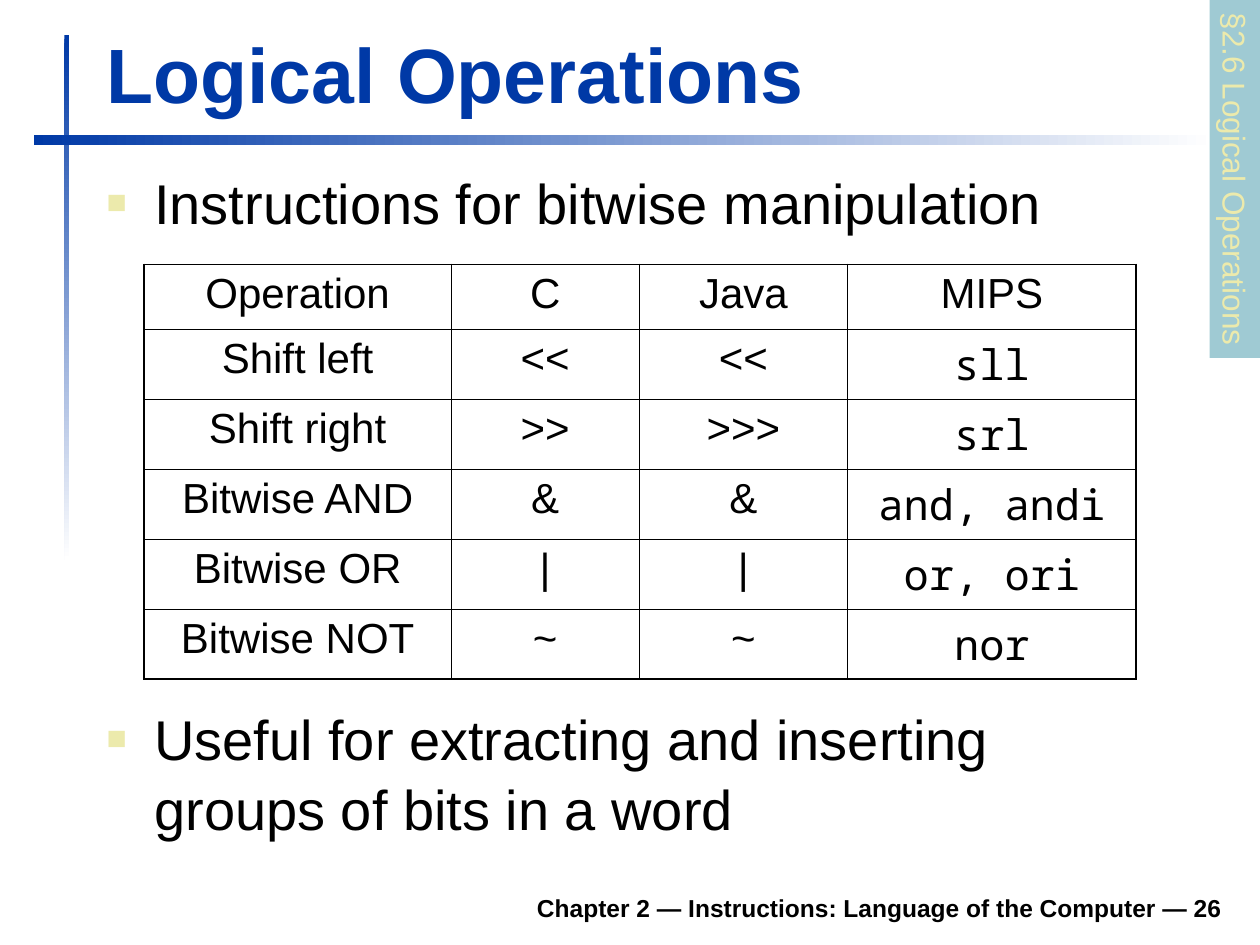
from dataclasses import dataclass

from lxml.etree import SubElement
from pptx import Presentation
from pptx.dml.color import RGBColor
from pptx.enum.shapes import MSO_SHAPE as Shape
from pptx.enum.text import MSO_ANCHOR as Anchor, PP_ALIGN as Align
from pptx.oxml.ns import qn
from pptx.util import Cm, Pt


@dataclass(frozen=True)
class Theme:
    blue: str = "0039A6"
    white: str = "FFFFFF"
    black: str = "000000"
    sand: str = "ECEAAC"
    teal: str = "9FCAD3"
    sans: str = "Arial"
    mono: str = "Noto Sans Mono"
    title: int = 44
    body: int = 32
    cell: int = 24
    tab: int = 18
    footer: int = 14
    outer_line: float = 1.08
    header_line: float = 0.75
    inner_line: float = 0.45


@dataclass(frozen=True)
class Box:
    """Left, top, width and height in centimetres."""
    left: float
    top: float
    width: float
    height: float

    def lengths(self) -> tuple:
        return Cm(self.left), Cm(self.top), Cm(self.width), Cm(self.height)


@dataclass(frozen=True)
class Rule:
    box: Box
    angle: int


@dataclass(frozen=True)
class Bullet:
    box: Box
    text: str


T = Theme()
RULES = [Rule(Box(1.3, 0.71, 0.1, 10.59), 270), Rule(Box(0.69, 2.72, 23.8, 0.2), 0)]
BULLETS = [
    Bullet(Box(1.9, 3.22, 22.96, 1.93), "Instructions for bitwise manipulation"),
    Bullet(Box(1.9, 14.02, 21.59, 3),
           "Useful for extracting and inserting groups of bits in a word"),
]
OPERATIONS = [
    ("Operation", "C", "Java", "MIPS"),
    ("Shift left", "<<", "<<", "sll"),
    ("Shift right", ">>", ">>>", "srl"),
    ("Bitwise AND", "&", "&", "and, andi"),
    ("Bitwise OR", "|", "|", "or, ori"),
    ("Bitwise NOT", "~", "~", "nor"),
]
COLUMNS = (6.2, 3.78, 4.21, 5.81)
HEADER_HEIGHT, ROW_HEIGHT = 1.31, 1.41


def write(tf, text: str, *, size: int, color: str = T.black, font: str = T.sans,
          bold: bool = False, align=Align.LEFT, anchor=Anchor.TOP,
          wrap: bool = True, bullet: bool = False) -> None:
    tf.word_wrap = wrap
    tf.vertical_anchor = anchor
    p = tf.paragraphs[0]
    p.alignment = align
    if bullet:
        add_bullet(p)
    r = p.add_run()
    r.text = text
    r.font.name, r.font.size, r.font.bold = font, Pt(size), bold
    r.font.color.rgb = RGBColor.from_string(color)


def add_bullet(p) -> None:
    """Give the paragraph a small square and a hanging indent."""
    pPr = p._p.get_or_add_pPr()
    pPr.set("marL", str(Cm(0.96)))
    pPr.set("indent", str(-Cm(0.96)))
    SubElement(SubElement(pPr, qn("a:buClr")), qn("a:srgbClr"), val=T.sand)
    SubElement(pPr, qn("a:buSzPct"), val="60000")
    SubElement(pPr, qn("a:buFont"), typeface=T.sans)
    SubElement(pPr, qn("a:buChar"), char="■")
    p.line_spacing = 1.04


def add_text(s, box: Box, text: str, **fmt) -> None:
    write(s.shapes.add_textbox(*box.lengths()).text_frame, text, **fmt)


def add_rectangle(s, box: Box):
    sp = s.shapes.add_shape(Shape.RECTANGLE, *box.lengths())
    sp.shadow.inherit = False
    sp.line.fill.background()
    return sp


def add_rule(s, rule: Rule) -> None:
    """Draw a bar that fades from blue to white."""
    fill = add_rectangle(s, rule.box).fill
    fill.gradient()
    fill.gradient_angle = rule.angle
    for stop, color in zip(fill.gradient_stops, (T.blue, T.white)):
        stop.color.rgb = RGBColor.from_string(color)


def add_section_tab(s, box: Box, text: str) -> None:
    sp = add_rectangle(s, box)
    sp.rotation = 90
    sp.fill.solid()
    sp.fill.fore_color.rgb = RGBColor.from_string(T.teal)
    write(sp.text_frame, text, size=T.tab, color=T.sand, wrap=False)


def set_borders(cell, **widths: float) -> None:
    """Set border widths in points, keyed L, R, T, B in that order."""
    tcPr = cell._tc.get_or_add_tcPr()
    for side, width in widths.items():
        ln = SubElement(tcPr, qn(f"a:ln{side}"), w=str(Pt(width)))
        SubElement(SubElement(ln, qn("a:solidFill")), qn("a:srgbClr"), val=T.black)


def row_line(i: int, count: int) -> float:
    """Width of the horizontal line above row i."""
    if i in (0, count):
        return T.outer_line
    return T.header_line if i == 1 else T.inner_line


def column_line(j: int, count: int) -> float:
    """Width of the vertical line left of column j."""
    return T.outer_line if j in (0, count) else T.inner_line


def add_operations_table(s, left: float, top: float) -> None:
    n_rows, n_cols = len(OPERATIONS), len(COLUMNS)
    heights = [HEADER_HEIGHT] + [ROW_HEIGHT] * (n_rows - 1)
    box = Box(left, top, sum(COLUMNS), sum(heights))
    table = s.shapes.add_table(n_rows, n_cols, *box.lengths()).table
    table.horz_banding = False
    for column, width in zip(table.columns, COLUMNS):
        column.width = Cm(width)
    for i, (row, height, texts) in enumerate(zip(table.rows, heights, OPERATIONS)):
        row.height = Cm(height)
        for j, (cell, text) in enumerate(zip(row.cells, texts)):
            is_code = i > 0 and j == n_cols - 1
            write(cell.text_frame, text, size=T.cell, align=Align.CENTER,
                  font=T.mono if is_code else T.sans)
            set_borders(cell, L=column_line(j, n_cols), R=column_line(j + 1, n_cols),
                        T=row_line(i, n_rows), B=row_line(i + 1, n_rows))
            cell.fill.background()


def main() -> None:
    prs = Presentation()
    prs.slide_width, prs.slide_height = Cm(25.4), Cm(19.05)
    s = prs.slides.add_slide(prs.slide_layouts[6])
    for rule in RULES:
        add_rule(s, rule)
    add_text(s, Box(4.7, 17.73, 20.19, 0.99),
             "Chapter 2 — Instructions: Language of the Computer — 26",
             size=T.footer, bold=True, align=Align.RIGHT, anchor=Anchor.BOTTOM)
    add_text(s, Box(1.9, 0.41, 22.94, 2.11), "Logical Operations",
             size=T.title, color=T.blue, bold=True, anchor=Anchor.BOTTOM)
    for bullet in BULLETS:
        add_text(s, bullet.box, bullet.text, size=T.body, bullet=True)
    add_operations_table(s, 2.9, 5.33)
    add_section_tab(s, Box(21.29, 3.1, 7.21, 1.02), "§2.6 Logical Operations")
    prs.save("out.pptx")


if __name__ == "__main__":
    main()
